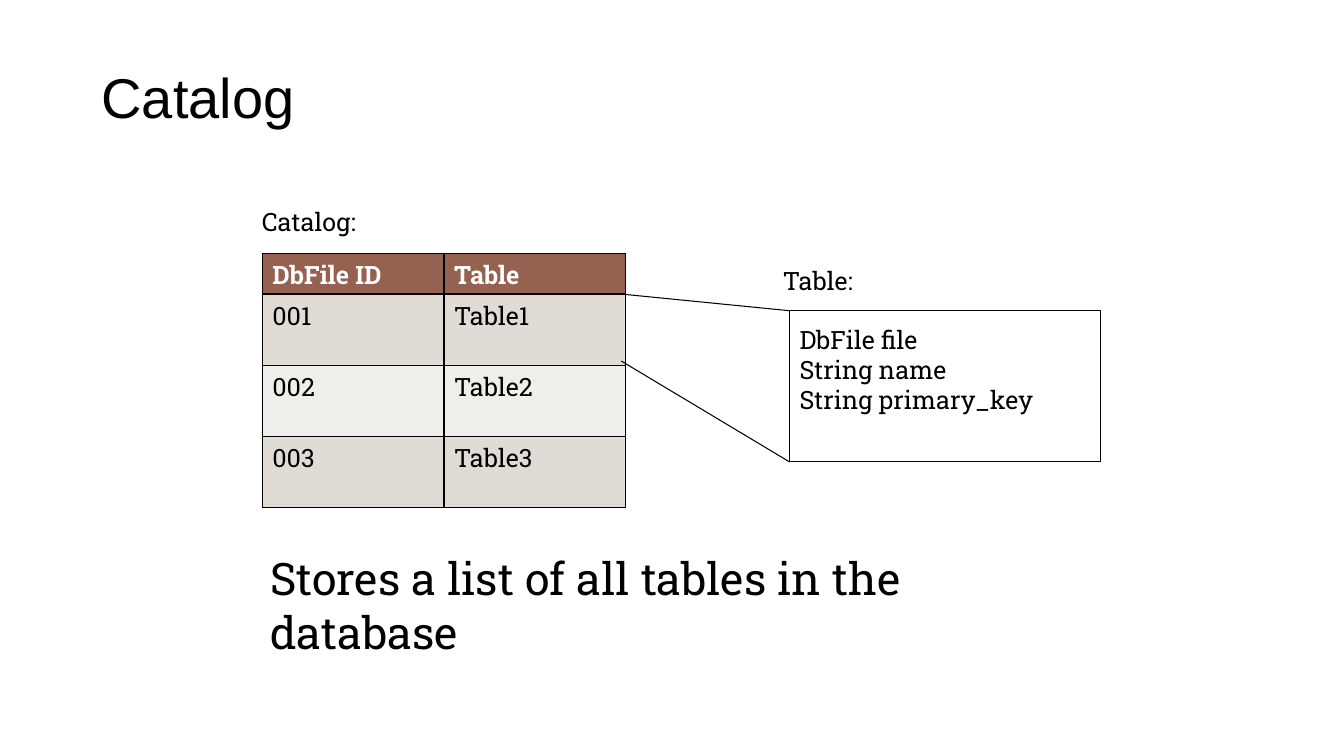
"""Build the slide showing a catalog and the table it stores."""
import pptx
import pptx.dml.color
import pptx.enum.shapes
import pptx.oxml
import pptx.oxml.ns
import pptx.util
from pptx.util import Cm

BLACK = pptx.dml.color.RGBColor(0x00, 0x00, 0x00)
WHITE = pptx.dml.color.RGBColor(0xFF, 0xFF, 0xFF)
BROWN = pptx.dml.color.RGBColor(0x95, 0x62, 0x51)
DARK = pptx.dml.color.RGBColor(0xE0, 0xDB, 0xD4)
LIGHT = pptx.dml.color.RGBColor(0xF0, 0xEE, 0xEB)
SLAB = "Roboto Slab"


def style(frame, size, font=SLAB, color=BLACK, bold=False):
    for para in frame.paragraphs:
        for run in para.runs:
            run.font.size = pptx.util.Pt(size)
            run.font.name = font
            run.font.bold = bold
            run.font.color.rgb = color


deck = pptx.Presentation()
deck.slide_width = Cm(33.87)
deck.slide_height = Cm(19.05)
slide = deck.slides.add_slide(deck.slide_layouts[6])
shapes = slide.shapes

box = shapes.add_shape(pptx.enum.shapes.MSO_SHAPE.RECTANGLE,
                       Cm(19.9), Cm(7.83), Cm(7.83), Cm(3.81))
box.shadow.inherit = False
box.fill.background()
box.line.color.rgb = BLACK
box.line.width = pptx.util.Pt(0.75)

texts = [
    ("Catalog", 2.31, 1.45, 5.44, 1.96, 40, "Arial", False),
    ("Catalog:", 6.35, 5.08, 3.02, 1.02, 18, SLAB, False),
    ("Table:", 19.48, 6.56, 2.34, 1.02, 18, SLAB, False),
    ("DbFile file\nString name\nString primary_key",
     19.9, 8.04, 7.83, 2.57, 18, SLAB, True),
    ("Stores a list of all tables in the database",
     6.56, 13.76, 21.17, 1.63, 32, SLAB, True),
]
for text, left, top, width, height, size, font, wrap in texts:
    frame = shapes.add_textbox(Cm(left), Cm(top), Cm(width), Cm(height)).text_frame
    frame.text = text
    frame.word_wrap = wrap
    style(frame, size, font)

rows = [("DbFile ID", "Table"), ("001", "Table1"), ("002", "Table2"), ("003", "Table3")]
fills = [BROWN, DARK, LIGHT, DARK]
grid = shapes.add_table(4, 2, Cm(6.61), Cm(6.38), Cm(9.16), Cm(6.4)).table
for col in grid.columns:
    col.width = Cm(4.58)
for r, row in enumerate(rows):
    head = r == 0
    grid.rows[r].height = Cm(1.03 if head else 1.79)
    for c, text in enumerate(row):
        cell = grid.cell(r, c)
        cell.text_frame.text = text
        style(cell.text_frame, 18, color=WHITE if head else BLACK, bold=head)
        props = cell._tc.get_or_add_tcPr()
        for side in ("lnL", "lnR", "lnT", "lnB"):
            props.append(pptx.oxml.parse_xml(
                f'<a:{side} {pptx.oxml.ns.nsdecls("a")} w="12700"><a:solidFill>'
                f'<a:srgbClr val="{BLACK}"/></a:solidFill></a:{side}>'))
        cell.fill.solid()
        cell.fill.fore_color.rgb = fills[r]

for start, end in ((7.41, 7.83), (9.1, 11.64)):
    line = shapes.add_connector(pptx.enum.shapes.MSO_CONNECTOR.STRAIGHT,
                                Cm(15.66), Cm(start), Cm(19.9), Cm(end))
    line.line.color.rgb = BLACK
    line.line.width = pptx.util.Pt(0.75)
    line._element.spPr.append(pptx.oxml.parse_xml(
        f'<a:effectLst {pptx.oxml.ns.nsdecls("a")}/>'))

deck.save("out.pptx")
